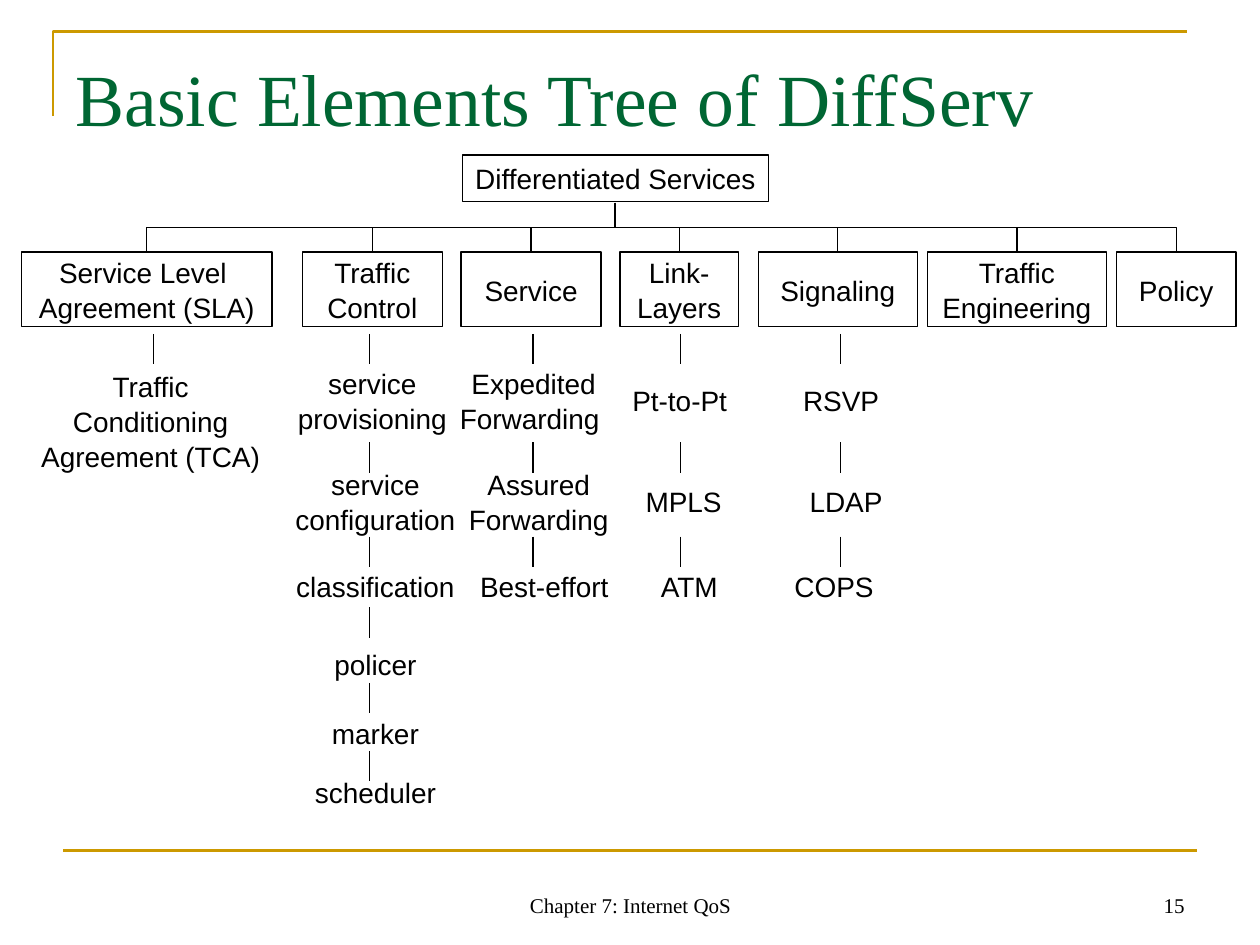
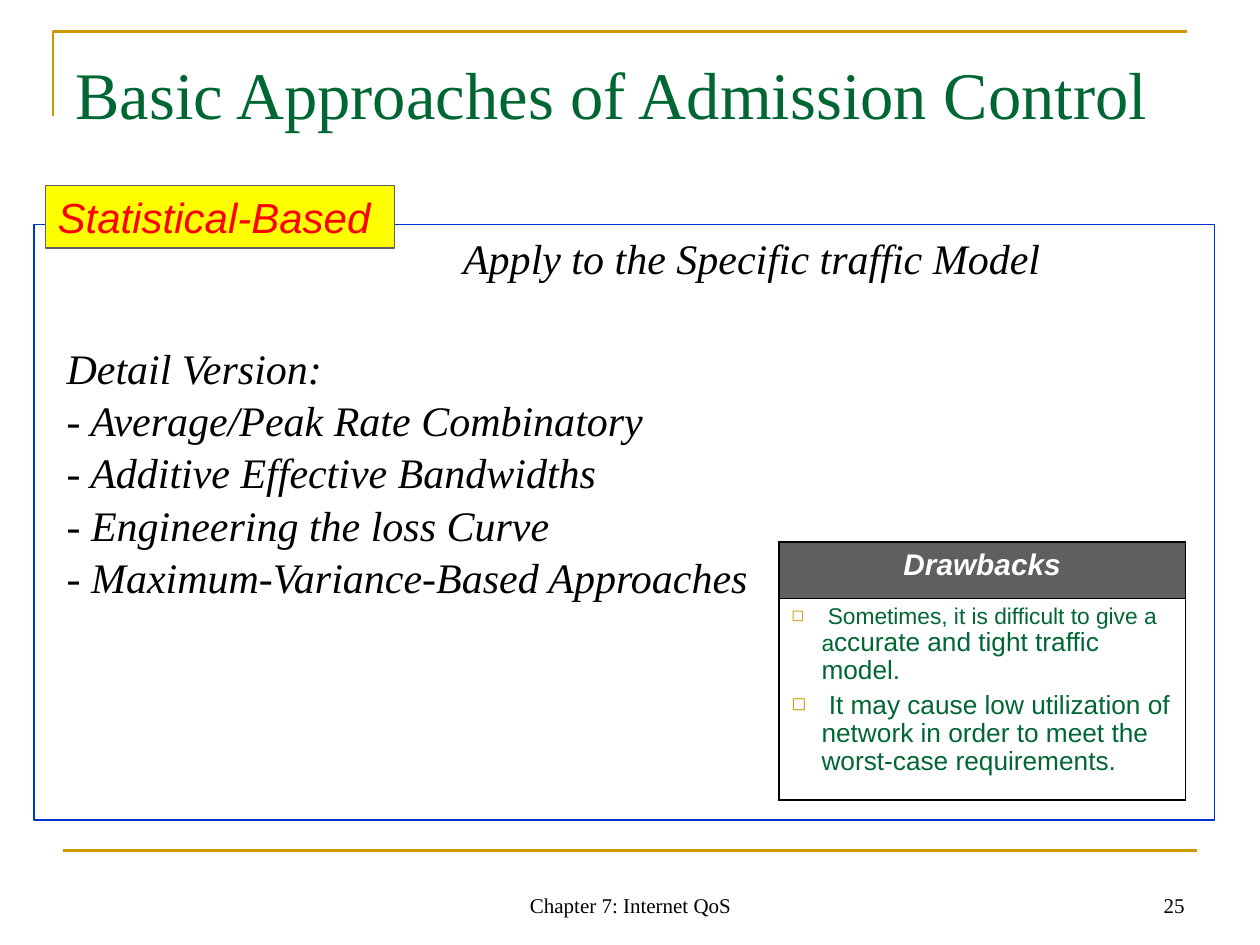
from dataclasses import dataclass
from typing import Optional

from lxml.etree import SubElement
from pptx import Presentation
from pptx.dml.color import RGBColor
from pptx.enum.shapes import MSO_CONNECTOR as Link, MSO_SHAPE as Preset
from pptx.enum.text import MSO_ANCHOR as Anchor, MSO_AUTO_SIZE as Fit, PP_ALIGN as Align
from pptx.oxml.ns import qn
from pptx.util import Emu, Pt

EMU_PER_PX = 9144


@dataclass(frozen=True)
class Theme:
    """Colours, fonts and line widths of the deck."""
    ink: str = "000000"
    paper: str = "FFFFFF"
    gold: str = "CC9900"
    green: str = "006633"
    blue: str = "0033CC"
    grey: str = "5F5F5F"
    yellow: str = "FFFF00"
    red: str = "FF0000"
    serif: str = "Times New Roman"
    sans: str = "Arial"
    thin: float = 0.75
    rule: float = 1.5
    grid: float = 1.08
    divider: float = 0.45
    bullet_small: int = 13
    bullet_large: int = 15


@dataclass(frozen=True)
class Style:
    """Look of one kind of text."""
    size: int
    font: str
    colour: str
    bold: bool = False
    italic: bool = False
    align: Align = Align.LEFT
    anchor: Anchor = Anchor.TOP
    spacing: float = 1.0


@dataclass(frozen=True)
class Box:
    """Place of an element in px."""
    left: int
    top: int
    width: int
    height: int


@dataclass(frozen=True)
class Band:
    """One level below a branch: its tick and its label."""
    tick_top: int
    top: int
    height: int


@dataclass(frozen=True)
class Leaf:
    """A label below a branch."""
    text: str
    left: int
    width: int = 164


BANDS = (Band(265, 290, 55), Band(351, 370, 55), Band(426, 445, 39),
         Band(482, 507, 39), Band(542, 562, 39), Band(596, 609, 39))


@dataclass(frozen=True)
class Branch:
    """A boxed element with the labels hanging from it."""
    text: str
    left: int
    width: int
    tick_x: int = 0
    leaves: tuple[Leaf, ...] = ()
    bands: tuple[Band, ...] = BANDS


THEME = Theme()
NODE = Style(16, THEME.sans, THEME.ink, align=Align.CENTER, anchor=Anchor.MIDDLE, spacing=1.04)
ROOT = Style(16, THEME.sans, THEME.ink, align=Align.CENTER)
FOOTER = Style(12, THEME.serif, THEME.ink, align=Align.CENTER, anchor=Anchor.BOTTOM)
PAGE = Style(12, THEME.serif, THEME.ink, align=Align.RIGHT, anchor=Anchor.BOTTOM)
BODY = Style(24, THEME.serif, THEME.ink, italic=True, spacing=1.04)
TAG = Style(24, THEME.sans, THEME.red, italic=True)
HEADER = Style(17, THEME.sans, THEME.paper, bold=True, italic=True, align=Align.CENTER)
BULLET = Style(THEME.bullet_large, THEME.sans, THEME.green, spacing=0.96)

TICK, BRANCH_TOP, BRANCH_HEIGHT = 24, 200, 59
TRUNK_X, TRUNK_TOP = 488, 161

BRANCHES = (
    Branch("Service Level \vAgreement (SLA)", 17, 199, 122,
           (Leaf("Traffic Conditioning Agreement (TCA)", 20, 199),), (Band(265, 294, 79),)),
    Branch("Traffic Control", 240, 111, 293,
           (Leaf("service provisioning", 222, 147), Leaf("service configuration", 216),
            *(Leaf(step, 216) for step in ("classification", "policer", "marker", "scheduler")))),
    Branch("Service", 366, 111, 423,
           (Leaf("Expedited Forwarding ", 350, 147), Leaf("Assured Forwarding", 354, 147),
            Leaf("Best-effort", 350))),
    Branch("Link-Layers", 492, 94, 540,
           (Leaf("Pt-to-Pt", 466, 147), Leaf("MPLS", 469, 147), Leaf("ATM", 465))),
    Branch("Signaling", 602, 126, 667,
           (Leaf("RSVP", 594, 147), Leaf("LDAP", 598, 147), Leaf("COPS", 580))),
    Branch("Traffic Engineering", 736, 142),
    Branch("Policy", 886, 95),
)

DETAILS = ("Detail Version:", "- Average/Peak Rate Combinatory",
           "- Additive Effective Bandwidths", "- Engineering the loss Curve",
           "- Maximum-Variance-Based Approaches")
DRAWBACKS = (
    ((" Sometimes, it is difficult to give a a", THEME.bullet_small),
     ("ccurate and tight traffic model.", THEME.bullet_large)),
    ((" It may cause low utilization of network in order to meet the worst-case requirements.",
      THEME.bullet_large),),
)


def px(length: float) -> Emu:
    """Turn px into EMU."""
    return Emu(round(length * EMU_PER_PX))


def place(box: Box) -> tuple[Emu, Emu, Emu, Emu]:
    """Give the EMU position and size of a box."""
    return px(box.left), px(box.top), px(box.width), px(box.height)


def rgb(colour: str) -> RGBColor:
    """Read a hex colour."""
    return RGBColor.from_string(colour)


def format_paragraph(paragraph, style: Style) -> None:
    """Apply a style to a paragraph and its runs."""
    paragraph.alignment = style.align
    paragraph.line_spacing = style.spacing
    for run in paragraph.runs:
        font = run.font
        font.name, font.size = style.font, Pt(style.size)
        font.bold, font.italic = style.bold, style.italic
        font.color.rgb = rgb(style.colour)


def write(frame, text: str, style: Style, wrap: bool = True) -> None:
    """Fill a text frame and format it."""
    frame.text = text
    frame.word_wrap = wrap
    frame.auto_size = Fit.NONE
    frame.vertical_anchor = style.anchor
    for paragraph in frame.paragraphs:
        format_paragraph(paragraph, style)


def add_label(slide, box: Box, text: str, style: Style) -> None:
    """Draw text without an outline."""
    write(slide.shapes.add_textbox(*place(box)).text_frame, text, style)


def outline(shape, colour: str, width: float) -> None:
    """Set the line of a shape or connector."""
    shape.line.color.rgb = rgb(colour)
    shape.line.width = Pt(width)


def add_panel(slide, box: Box, line: str, fill: Optional[str] = None):
    """Draw an outlined rectangle."""
    panel = slide.shapes.add_shape(Preset.RECTANGLE, *place(box))
    panel.shadow.inherit = False
    outline(panel, line, THEME.thin)
    if fill:
        panel.fill.solid()
        panel.fill.fore_color.rgb = rgb(fill)
    else:
        panel.fill.background()
    return panel


def add_link(slide, kind: Link, start: tuple[float, float], end: tuple[float, float],
             colour: str = THEME.ink, width: float = THEME.thin):
    """Draw a connector without a shadow."""
    link = slide.shapes.add_connector(kind, *map(px, (*start, *end)))
    outline(link, colour, width)
    SubElement(link._element.spPr, qn("a:effectLst"))
    return link


def add_elbow(slide, end_x: float) -> None:
    """Join the trunk to a branch with a vertical-first elbow."""
    drop, span = BRANCH_TOP - TRUNK_TOP, abs(end_x - TRUNK_X)
    left = (TRUNK_X + end_x - drop) / 2
    top = (TRUNK_TOP + BRANCH_TOP - span) / 2
    elbow = add_link(slide, Link.ELBOW, (left, top), (left + drop, top + span))
    xfrm = elbow._element.spPr.find(qn("a:xfrm"))
    if end_x < TRUNK_X:
        xfrm.set("rot", "5400000")
    else:
        xfrm.set("rot", "16200000")
        xfrm.set("flipH", "1")


def add_page(deck, title: str, title_size: int, title_height: int, number: int):
    """Start a slide with its title, rules and footer."""
    slide = deck.slides.add_slide(deck.slide_layouts[5])
    corner = slide.shapes.build_freeform(42, 92, scale=EMU_PER_PX)
    corner.add_line_segments([(42, 25), (942, 25)], close=False)
    bracket = corner.convert_to_shape()
    bracket.shadow.inherit = False
    bracket.fill.background()
    outline(bracket, THEME.gold, THEME.rule)
    add_link(slide, Link.STRAIGHT, (50, 675), (950, 675), THEME.gold, THEME.rule)
    heading = slide.shapes.title
    heading.left, heading.top, heading.width, heading.height = place(Box(50, 30, 900, title_height))
    write(heading.text_frame, title, Style(title_size, THEME.serif, THEME.green))
    heading.text_frame.margin_top = px(12)
    add_label(slide, Box(342, 683, 317, 50), "Chapter 7: Internet QoS", FOOTER)
    add_label(slide, Box(717, 683, 233, 50), str(number), PAGE)
    return slide


def add_branch(slide, branch: Branch) -> None:
    """Draw a branch, its elbow and its leaves."""
    box = Box(branch.left, BRANCH_TOP, branch.width, BRANCH_HEIGHT)
    write(add_panel(slide, box, THEME.ink).text_frame, branch.text, NODE)
    add_elbow(slide, branch.left + branch.width / 2)
    for leaf, band in zip(branch.leaves, branch.bands):
        add_label(slide, Box(leaf.left, band.top, leaf.width, band.height), leaf.text, NODE)
        add_link(slide, Link.STRAIGHT, (branch.tick_x, band.tick_top),
                 (branch.tick_x, band.tick_top + TICK))


def dress_cell(cell, fill: str, top: float, bottom: float) -> None:
    """Set the borders and fill of a cell."""
    properties = cell._tc.get_or_add_tcPr()
    for side, width in zip("LRTB", (THEME.grid, THEME.grid, top, bottom)):
        border = SubElement(properties, qn(f"a:ln{side}"), w=str(Pt(width)))
        SubElement(SubElement(border, qn("a:solidFill")), qn("a:srgbClr"), val=THEME.ink)
    cell.fill.solid()
    cell.fill.fore_color.rgb = rgb(fill)


def add_bullet(paragraph) -> None:
    """Give a paragraph a hanging square bullet."""
    properties = paragraph._p.get_or_add_pPr()
    properties.set("marL", str(px(24)))
    properties.set("indent", str(px(-24)))
    SubElement(SubElement(properties, qn("a:buClr")), qn("a:srgbClr"), val=THEME.gold)
    SubElement(properties, qn("a:buSzPct"), val="70000")
    SubElement(properties, qn("a:buChar"), char="◻")


def add_drawbacks(slide) -> None:
    """Draw the table of drawbacks."""
    table = slide.shapes.add_table(2, 1, *place(Box(618, 430, 323, 205))).table
    table.rows[0].height, table.rows[1].height = px(45), px(160)
    header, content = table.cell(0, 0), table.cell(1, 0)
    dress_cell(header, THEME.grey, THEME.grid, THEME.divider)
    dress_cell(content, THEME.paper, THEME.divider, THEME.grid)
    header.text_frame.text = "Drawbacks"
    format_paragraph(header.text_frame.paragraphs[0], HEADER)
    frame = content.text_frame
    frame.text = "\n".join(pieces[0][0] for pieces in DRAWBACKS)
    for index, (paragraph, pieces) in enumerate(zip(frame.paragraphs, DRAWBACKS)):
        add_bullet(paragraph)
        for text, _ in pieces[1:]:
            paragraph.add_run().text = text
        format_paragraph(paragraph, BULLET)
        for run, (_, size) in zip(paragraph.runs, pieces):
            run.font.size = Pt(size)
        if index:
            paragraph.space_before = Pt(3.7)


def build_tree(deck) -> None:
    """Build the slide with the tree of elements."""
    slide = add_page(deck, "Basic Elements Tree of DiffServ", 42, 125, 15)
    root = add_panel(slide, Box(367, 123, 243, 37), THEME.ink)
    write(root.text_frame, "Differentiated Services", ROOT, wrap=False)
    for branch in BRANCHES:
        add_branch(slide, branch)


def build_approaches(deck) -> None:
    """Build the slide on admission control."""
    slide = add_page(deck, "Basic Approaches of Admission Control", 38, 77, 25)
    add_label(slide, Box(43, 265, 575, 210), "\n".join(DETAILS), BODY)
    add_drawbacks(slide)
    add_panel(slide, Box(27, 178, 937, 473), THEME.blue)
    tag = add_panel(slide, Box(36, 147, 277, 50), THEME.grey, THEME.yellow)
    write(tag.text_frame, "Statistical-Based", TAG)
    add_label(slide, Box(350, 178, 575, 50), " Apply to the Specific traffic Model", BODY)


def main() -> None:
    """Build and save the deck."""
    deck = Presentation()
    deck.slide_width, deck.slide_height = px(1000), px(750)
    build_tree(deck)
    build_approaches(deck)
    deck.save("out.pptx")


if __name__ == "__main__":
    main()
